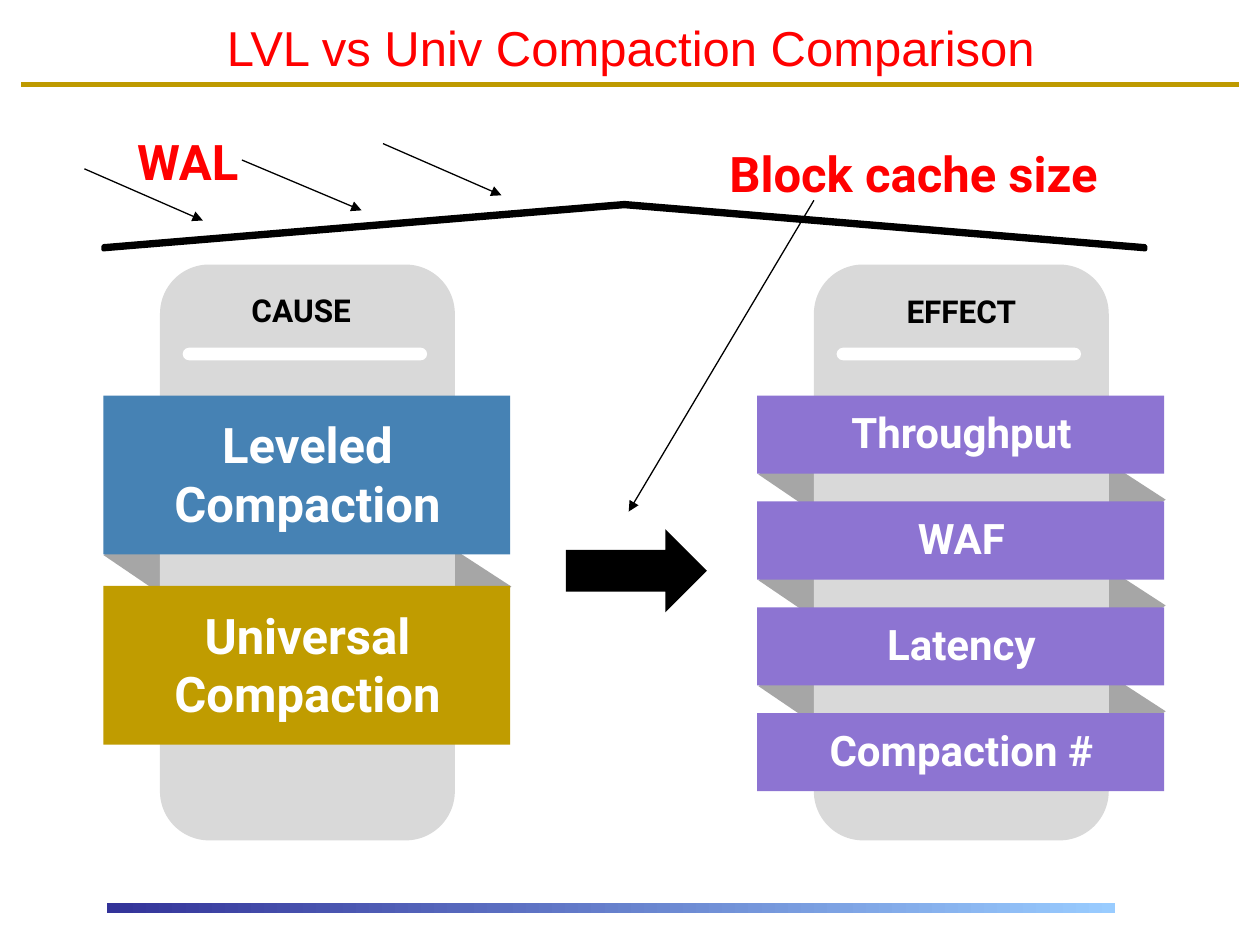
"""Build the slide that compares leveled and universal compaction."""
from typing import NamedTuple, Optional

from lxml.etree import SubElement
from pptx import Presentation
from pptx.dml.color import RGBColor
from pptx.enum.shapes import MSO_CONNECTOR, MSO_SHAPE
from pptx.enum.text import MSO_ANCHOR, PP_ALIGN
from pptx.oxml.ns import qn
from pptx.util import Pt

PX = 9144
BLACK = RGBColor(0x00, 0x00, 0x00)
WHITE = RGBColor(0xFF, 0xFF, 0xFF)
RED = RGBColor(0xFF, 0x00, 0x00)
GOLD = RGBColor(0xBE, 0x9A, 0x00)
MUSTARD = RGBColor(0xC0, 0x9C, 0x00)
STEEL = RGBColor(0x46, 0x82, 0xB4)
PURPLE = RGBColor(0x8D, 0x74, 0xD2)
PANEL = RGBColor(0xD9, 0xD9, 0xD9)
FOLD = RGBColor(0xA6, 0xA6, 0xA6)
NAVY = RGBColor(0x33, 0x33, 0x99)
SKY = RGBColor(0x99, 0xCC, 0xFF)


class Box(NamedTuple):
    x: int
    y: int
    w: int
    h: int

    def emu(self) -> list[int]:
        return [v * PX for v in self]


class Band(NamedTuple):
    text: str
    y: int
    color: RGBColor


class Panel(NamedTuple):
    x: int
    heading: str
    heading_box: Box


class Line(NamedTuple):
    x1: int
    y1: int
    x2: int
    y2: int


BANDS = [Band("Leveled\nCompaction", 314, STEEL), Band("Universal\nCompaction", 465, MUSTARD)]
METRICS = ["Throughput", "WAF", "Latency", "Compaction #"]
METRIC_TOP, METRIC_PITCH = 314, 84
PANELS = [Panel(127, "CAUSE", Box(168, 226, 142, 40)),
          Panel(646, "EFFECT", Box(681, 227, 164, 40))]
ARROWS = [Line(67, 134, 161, 175), Line(192, 127, 287, 167),
          Line(304, 114, 398, 155), Line(646, 159, 499, 406)]


def add_shape(slide, kind: MSO_SHAPE, box: Box, color: Optional[RGBColor] = None,
              adj: Optional[float] = None, rot: int = 0, flip: bool = False):
    sp = slide.shapes.add_shape(kind, *box.emu())
    sp.shadow.inherit = False
    sp.line.fill.background()
    sp.rotation = rot
    if color is not None:
        sp.fill.solid()
        sp.fill.fore_color.rgb = color
    if adj is not None:
        sp.adjustments[0] = adj
    if flip:
        sp._element.spPr.find(qn("a:xfrm")).set("flipH", "1")
    return sp


def add_text(slide, text: str, box: Box, *, size: int, color: RGBColor, font: str = "Roboto",
             bold: bool = True, align: PP_ALIGN = PP_ALIGN.CENTER,
             fill: Optional[RGBColor] = None):
    if fill is None:
        sp = slide.shapes.add_textbox(*box.emu())
    else:
        sp = add_shape(slide, MSO_SHAPE.RECTANGLE, box, fill)
    tf = sp.text_frame
    tf.word_wrap = True
    tf.vertical_anchor = MSO_ANCHOR.MIDDLE
    tf.text = text
    for p in tf.paragraphs:
        p.alignment = align
        r = p.runs[0]
        r.font.name = font
        r.font.size = Pt(size)
        r.font.bold = bold
        r.font.color.rgb = color
    return sp


def add_line(slide, line: Line, color: RGBColor, width: float, arrow: bool = False):
    cx = slide.shapes.add_connector(MSO_CONNECTOR.STRAIGHT, *[v * PX for v in line])
    cx.line.color.rgb = color
    cx.line.width = Pt(width)
    if arrow:
        SubElement(cx.line._get_or_add_ln(), qn("a:tailEnd"), type="triangle")
    SubElement(cx._element.spPr, qn("a:effectLst"))
    return cx


def add_folds(slide, left: Box, right: Box) -> None:
    add_shape(slide, MSO_SHAPE.ISOSCELES_TRIANGLE, left, FOLD, adj=0.647, rot=147)
    add_shape(slide, MSO_SHAPE.ISOSCELES_TRIANGLE, right, FOLD, adj=0.647, rot=213, flip=True)


def add_frame(slide) -> None:
    add_line(slide, Line(17, 67, 983, 67), GOLD, 3)
    bar = add_shape(slide, MSO_SHAPE.RECTANGLE, Box(85, 717, 800, 8))
    bar.fill.gradient()
    bar.fill.gradient_angle = 0
    for stop, color in zip(bar.fill.gradient_stops, (NAVY, SKY)):
        stop.color.rgb = color
    add_text(slide, "LVL vs Univ Compaction Comparison", Box(17, 8, 967, 58),
             size=28, color=RED, font="Arial", bold=False)


def add_panel(slide, panel: Panel) -> None:
    add_shape(slide, MSO_SHAPE.ROUNDED_RECTANGLE, Box(panel.x, 210, 234, 457), PANEL)
    add_text(slide, panel.heading, panel.heading_box, size=18, color=BLACK)
    add_shape(slide, MSO_SHAPE.ROUNDED_RECTANGLE, Box(panel.x + 18, 276, 194, 10), WHITE, adj=0.5)


def add_causes(slide) -> None:
    add_folds(slide, Box(95, 411, 87, 73), Box(306, 436, 87, 73))
    add_panel(slide, PANELS[0])
    for band in BANDS:
        add_shape(slide, MSO_SHAPE.RECTANGLE, Box(82, band.y, 323, 126), band.color)
        add_text(slide, band.text, Box(108, band.y + 10, 272, 104), size=28, color=WHITE)


def add_effects(slide) -> None:
    tops = [METRIC_TOP + i * METRIC_PITCH for i in range(len(METRICS))]
    for y in tops[:-1]:
        add_folds(slide, Box(613, y + 37, 75, 63), Box(839, y + 57, 75, 63))
    add_panel(slide, PANELS[1])
    for text, y in zip(METRICS, tops):
        add_shape(slide, MSO_SHAPE.RECTANGLE, Box(601, y, 323, 62), PURPLE)
        add_text(slide, text, Box(627, y + 4, 272, 50), size=24, color=WHITE, fill=PURPLE)


def add_factors(slide) -> None:
    add_shape(slide, MSO_SHAPE.RIGHT_ARROW, Box(449, 420, 112, 66), BLACK)
    roof = add_shape(slide, MSO_SHAPE.CHEVRON, Box(477, -234, 37, 827), BLACK, adj=0.926, rot=270)
    roof.line.color.rgb = BLACK
    roof.line.width = Pt(2.25)
    for text, box in (("WAL", Box(99, 99, 142, 57)), ("Block cache size", Box(569, 109, 352, 57))):
        add_text(slide, text, box, size=28, color=RED, align=PP_ALIGN.LEFT)
    for arrow in ARROWS:
        add_line(slide, arrow, BLACK, 0.75, arrow=True)


def main() -> None:
    prs = Presentation()
    prs.slide_width, prs.slide_height = 1000 * PX, 750 * PX
    slide = prs.slides.add_slide(prs.slide_layouts[6])
    add_frame(slide)
    add_causes(slide)
    add_effects(slide)
    add_factors(slide)
    prs.save("out.pptx")


if __name__ == "__main__":
    main()
